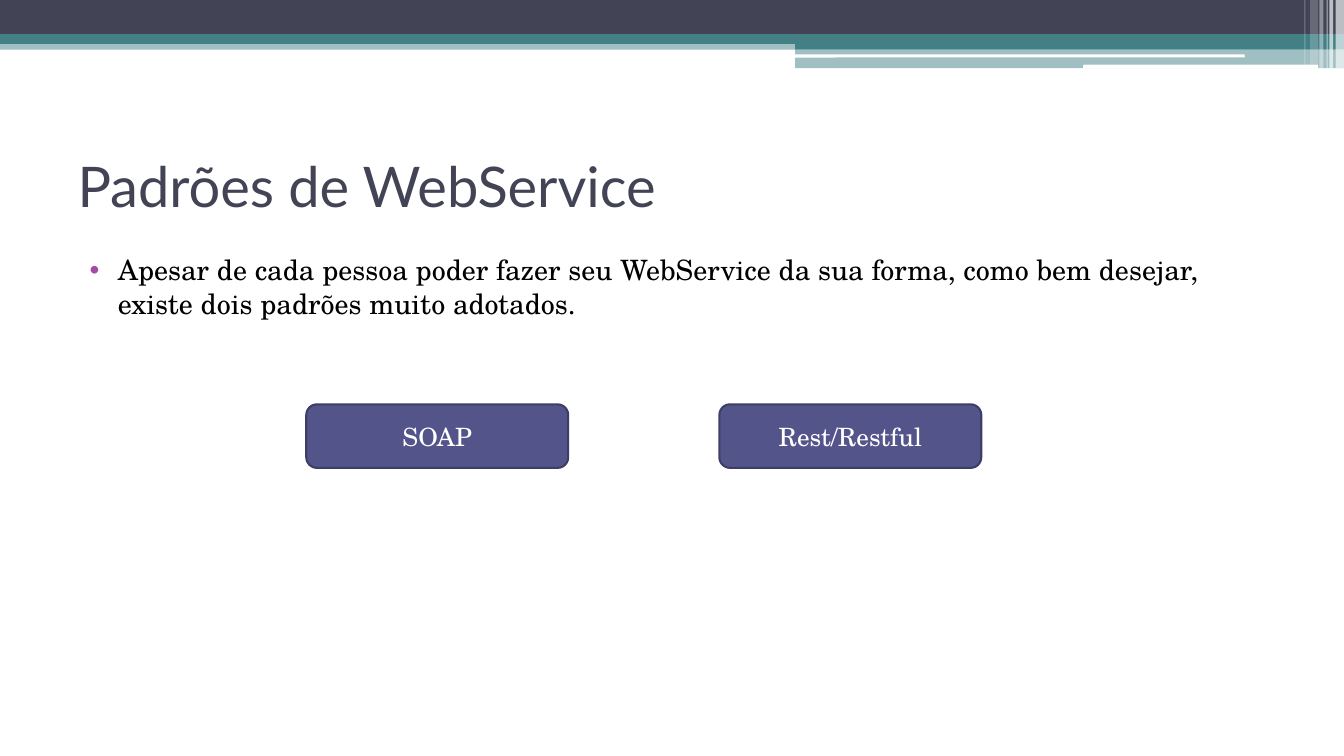
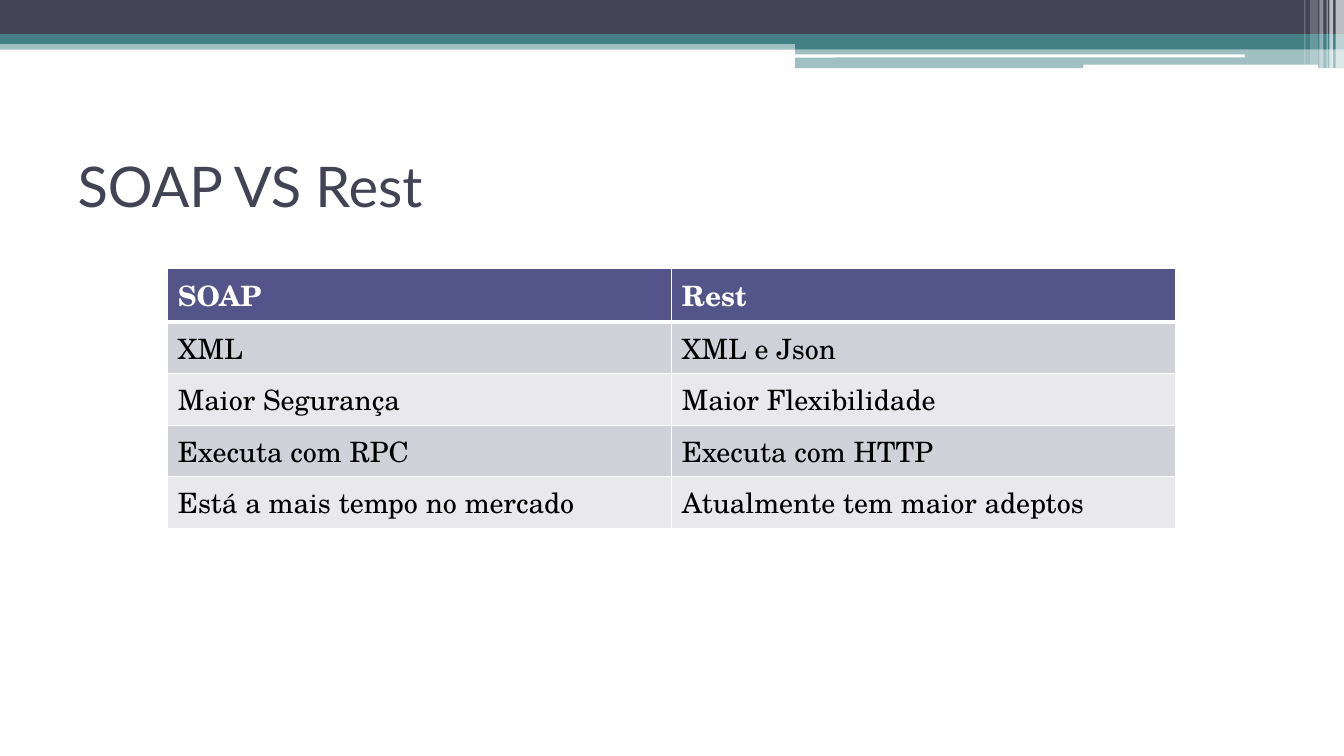
from lxml.etree import SubElement
from pptx import Presentation
from pptx.dml.color import RGBColor
from pptx.enum.shapes import MSO_SHAPE
from pptx.enum.text import MSO_ANCHOR, PP_ALIGN
from pptx.oxml.ns import qn
from pptx.util import Cm, Pt

# Content
TITLES = ["Padrões de WebService", "SOAP VS Rest"]
INTRO = ("Apesar de cada pessoa poder fazer seu WebService da sua forma, "
         "como bem desejar, existe dois padrões muito adotados.")
KINDS = ["SOAP", "Rest/Restful"]
ROWS = [
    ("SOAP", "Rest"),
    ("XML", "XML e Json"),
    ("Maior Segurança", "Maior Flexibilidade"),
    ("Executa com RPC", "Executa com HTTP"),
    ("Está a mais tempo no mercado", "Atualmente tem maior adeptos"),
]

# Shared style
COLORS = {
    "dark": "424456", "teal": "438086", "white": "FFFFFF", "black": "000000",
    "main": "53548A", "edge": "3D3E66", "bullet": "A04DA3",
    "odd": "D1D1DA", "even": "E9E9ED",
}
HEAD, BODY = "Lato", "TeX Gyre Schola"
WIDE, HIGH = 33.87, 19.05
HALF = 20.04
RECT, ROUND = MSO_SHAPE.RECTANGLE, MSO_SHAPE.ROUNDED_RECTANGLE

# Top bands: shape, left, top, width, height, colour, opacity in percent
BANDS = [
    (RECT, 0, 1.02, WIDE, 0.23, "teal", 50),
    (RECT, 0, 0, WIDE, 0.86, "dark", 100),
    (RECT, 0, 0.86, WIDE, 0.25, "teal", 100),
    (RECT, HALF, 0.99, WIDE - HALF, 0.25, "teal", 100),
    (RECT, HALF, 1.22, WIDE - HALF, 0.5, "teal", 50),
    (ROUND, 20.02, 1.37, 11.35, 0.08, "white", 100),
    (ROUND, 27.3, 1.63, 5.92, 0.1, "white", 100),
]
# White stripes at the right end: left, width, height, opacity
STRIPES = [
    (33.66, 0.21, 1.73, 65), (33.5, 0.1, 1.73, 65), (33.43, 0.03, 1.73, 60),
    (33.25, 0.1, 1.73, 40), (33.02, 0.2, 1.63, 20), (32.87, 0.03, 1.63, 30),
]
BANDS += [(RECT, x, 0, w, h, "white", a) for x, w, h, a in STRIPES]


def color(name):
    return RGBColor.from_string(COLORS[name])


def place(x, y, w, h):
    return Cm(x), Cm(y), Cm(w), Cm(h)


def style(para, size, name, face=BODY, bold=False):
    font = para.font
    font.size, font.name, font.bold = Pt(size), face, bold
    font.color.rgb = color(name)


def add_box(slide, form, box, fill, alpha=100):
    shape = slide.shapes.add_shape(form, *place(*box))
    shape.shadow.inherit = False
    shape.fill.solid()
    shape.fill.fore_color.rgb = color(fill)
    shape.line.fill.background()
    if alpha < 100:
        tone = shape.element.spPr.find(".//" + qn("a:srgbClr"))
        SubElement(tone, qn("a:alpha"), val=str(alpha * 1000))
    return shape


def add_slide(deck, text):
    slide = deck.slides.add_slide(deck.slide_layouts[5])
    for form, *box, fill, alpha in BANDS:
        add_box(slide, form, box, fill, alpha)
    title = slide.shapes.title
    title.left, title.top, title.width, title.height = place(1.7, 3.18, 30.48, 2.96)
    title.text_frame.text = text
    title.text_frame.vertical_anchor = MSO_ANCHOR.MIDDLE
    para = title.text_frame.paragraphs[0]
    para.alignment = PP_ALIGN.LEFT
    style(para, 40, "dark", HEAD)
    return slide


def add_intro(slide):
    frame = slide.shapes.add_textbox(*place(1.7, 6.25, 30.84, 12.8)).text_frame
    frame.word_wrap = True
    frame.text = INTRO
    para = frame.paragraphs[0]
    para.space_before = Pt(3)
    props = para._p.get_or_add_pPr()
    props.set("marL", str(Cm(1.02)))
    props.set("indent", str(Cm(-0.71)))
    tint = SubElement(props, qn("a:buClr"))
    SubElement(tint, qn("a:srgbClr"), val=COLORS["bullet"])
    SubElement(props, qn("a:buFont"), typeface="Arial")
    SubElement(props, qn("a:buChar"), char="•")
    style(para, 20, "black")


def add_kinds(slide):
    left, step = 7.72, 10.41
    for i, kind in enumerate(KINDS):
        shape = add_box(slide, ROUND, (left + i * step, 10.19, 6.6, 1.6), "main")
        shape.line.color.rgb = color("edge")
        shape.line.width = Pt(1.5)
        shape.text_frame.text = kind
        para = shape.text_frame.paragraphs[0]
        para.alignment = PP_ALIGN.CENTER
        style(para, 18, "white")


def add_edges(cell, row):
    thick = {(0, "B"): 3, (1, "T"): 3}
    props = cell._tc.get_or_add_tcPr()
    for side in "LRTB":
        width = Pt(thick.get((row, side), 1))
        line = SubElement(props, qn("a:ln" + side), w=str(width))
        fill = SubElement(line, qn("a:solidFill"))
        SubElement(fill, qn("a:srgbClr"), val=COLORS["white"])


def add_grid(slide):
    box = place(4.23, 6.77, 25.4, 1.3 * len(ROWS))
    table = slide.shapes.add_table(len(ROWS), len(ROWS[0]), *box).table
    for r, row in enumerate(ROWS):
        fill = "main" if r == 0 else "odd" if r % 2 else "even"
        for c, text in enumerate(row):
            cell = table.cell(r, c)
            add_edges(cell, r)
            cell.fill.solid()
            cell.fill.fore_color.rgb = color(fill)
            cell.text = text
            style(cell.text_frame.paragraphs[0], 20,
                  "black" if r else "white", bold=r == 0)


def main():
    deck = Presentation()
    deck.slide_width, deck.slide_height = Cm(WIDE), Cm(HIGH)
    first, second = [add_slide(deck, text) for text in TITLES]
    add_intro(first)
    add_kinds(first)
    add_grid(second)
    deck.save("out.pptx")


if __name__ == "__main__":
    main()
